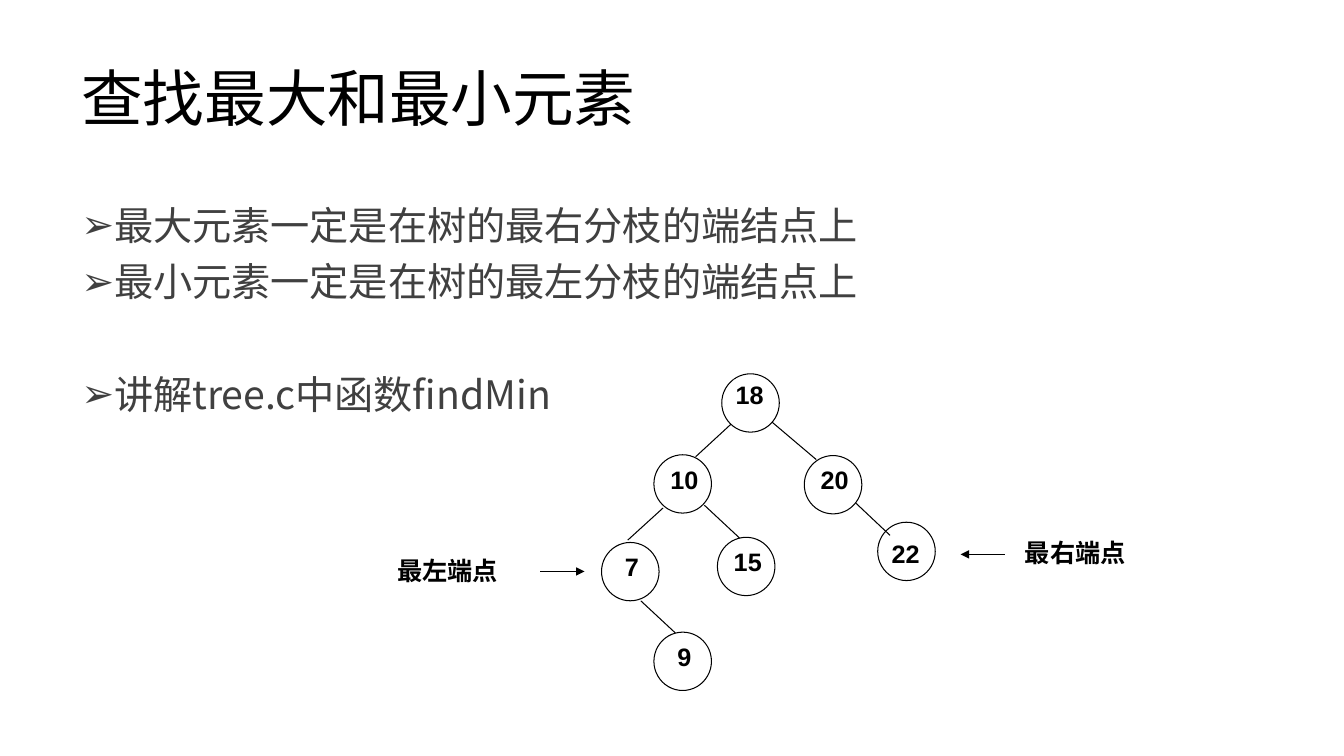
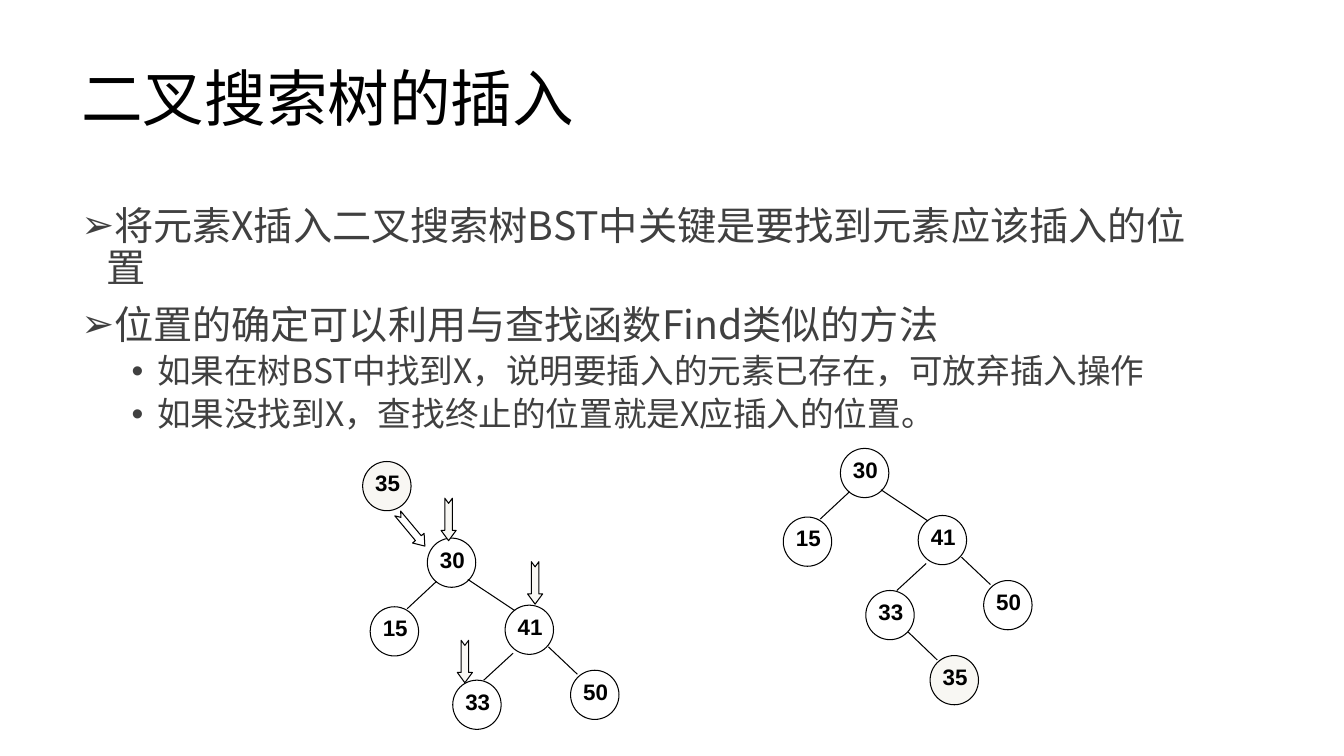
import pptx
import pptx.util
import pptx.dml.color
import pptx.enum.shapes
import pptx.enum.text
import pptx.oxml
import pptx.oxml.ns
import lxml.etree

Cm = pptx.util.Cm
Pt = pptx.util.Pt
Shape = pptx.enum.shapes.MSO_SHAPE
Anchor = pptx.enum.text.MSO_ANCHOR
Align = pptx.enum.text.PP_ALIGN

# Shared look
BLACK, GREY, WHITE, CREAM = "000000", "404040", "FFFFFF", "F8F7F3"
HAN_FONT = "Noto Sans CJK SC"
LINE_WIDTH = 0.75

# Sizes of tree nodes: circle, label, label offset, font size
LARGE = {"circle": (1.45, 1.47), "label": (0.81, 0.86), "offset": (0.36, 0.23), "size": 18}
SMALL = {"circle": (1.22, 1.24), "label": (0.66, 0.74), "offset": (0.3, 0.19), "size": 16}

# Search tree: value, left, top, label offset where it differs
SEARCH_NODES = [
    ("18", 18.19, 9.42, (0.3, 0.15)),
    ("10", 16.48, 11.46, None),
    ("15", 18.08, 13.54, None),
    ("20", 20.27, 11.48, None),
    ("7", 15.16, 13.67, None),
    ("22", 22.12, 13.16, (0.3, 0.41)),
    ("9", 16.48, 15.93, None),
]
SEARCH_EDGES = [
    (18.42, 10.69, 17.53, 11.51),
    (16.71, 12.8, 15.82, 13.61),
    (17.75, 12.73, 18.64, 13.56),
    (19.46, 10.64, 20.57, 11.58),
    (21.56, 12.67, 22.43, 13.49),
    (16.15, 15.14, 17.02, 15.95),
]

# Insertion tree, measured from its root
INSERT_NODES = [
    ("30", 0, 0),
    ("15", -1.44, 1.73),
    ("41", 1.96, 1.69),
    ("33", 0.64, 3.58),
    ("50", 3.61, 3.33),
]
INSERT_EDGES = [
    (1.02, 1.04, 2.21, 1.83),
    (2.16, 2.9, 1.42, 3.58),
    (3.05, 2.74, 3.78, 3.43),
    (0.23, 1.09, -0.51, 1.78),
]


def colour(value):
    return pptx.dml.color.RGBColor.from_string(value)


def add_span(para, text, size, font, ink, bold=False):
    span = para.add_run()
    span.text = text
    span.font.size = Pt(size)
    span.font.name = font
    span.font.bold = bold
    span.font.color.rgb = colour(ink)
    east = pptx.oxml.ns.qn("a:ea")
    span.font._element.find(pptx.oxml.ns.qn("a:latin")).addnext(
        lxml.etree.Element(east, typeface=HAN_FONT))


def add_text_box(page, left, top, width, height, anchor):
    box = page.shapes.add_textbox(Cm(left), Cm(top), Cm(width), Cm(height))
    box.text_frame.word_wrap = True
    box.text_frame.vertical_anchor = anchor
    return box.text_frame


def add_title(page, text):
    para = add_text_box(page, 1.8, 0.71, 29.21, 3.68, Anchor.MIDDLE).paragraphs[0]
    para.line_spacing = 0.9
    add_span(para, text, 44, "Arial", BLACK)


def set_bullet(para, sign, indent):
    props = para._p.get_or_add_pPr()
    props.set("marL", str(Cm(indent)))
    props.set("indent", str(-Cm(0.64)))
    lxml.etree.SubElement(props, pptx.oxml.ns.qn("a:buFont"), typeface="Arial")
    lxml.etree.SubElement(props, pptx.oxml.ns.qn("a:buChar"), char=sign)


def add_body(page, items):
    """Each item is text, level and space before."""
    frame = add_text_box(page, 1.8, 5.08, 29.21, 12.09, Anchor.TOP)
    for number, (text, level, space) in enumerate(items):
        para = frame.add_paragraph() if number else frame.paragraphs[0]
        para.level = level
        para.line_spacing = 0.9
        para.space_before = Pt(space)
        set_bullet(para, "•" if level else "➢", 1.91 if level else 0.64)
        add_span(para, text, 24 if level else 28, HAN_FONT, GREY)


def add_outline(page, kind, left, top, width, height, fill, line=True):
    shape = page.shapes.add_shape(kind, Cm(left), Cm(top), Cm(width), Cm(height))
    shape.shadow.inherit = False
    shape.fill.solid()
    shape.fill.fore_color.rgb = colour(fill)
    if line:
        shape.line.color.rgb = colour(BLACK)
        shape.line.width = Pt(LINE_WIDTH)
    else:
        shape.line.fill.background()
    return shape


def add_label(page, place, text, size, font, fill, align, anchor):
    box = add_outline(page, Shape.RECTANGLE, *place, fill, line=False)
    frame = box.text_frame
    frame.margin_left = frame.margin_right = frame.margin_top = frame.margin_bottom = 0
    frame.vertical_anchor = anchor
    frame.word_wrap = True
    frame.paragraphs[0].alignment = align
    add_span(frame.paragraphs[0], text, size, font, BLACK, bold=True)


def add_node(page, value, left, top, style, fill=WHITE, offset=None):
    right, down = offset or style["offset"]
    add_outline(page, Shape.OVAL, left, top, *style["circle"], fill)
    add_label(page, (left + right, top + down, *style["label"]), value,
              style["size"], "Arial", fill, Align.CENTER, Anchor.TOP)


def add_line(page, left, top, right, bottom, arrow=False):
    line = page.shapes.add_connector(pptx.enum.shapes.MSO_CONNECTOR.STRAIGHT,
                                     Cm(left), Cm(top), Cm(right), Cm(bottom))
    line.line.color.rgb = colour(BLACK)
    line.line.width = Pt(LINE_WIDTH)
    if arrow:
        lxml.etree.SubElement(line.line._get_or_add_ln(),
                              pptx.oxml.ns.qn("a:tailEnd"), type="triangle")
    lxml.etree.SubElement(line._element.spPr, pptx.oxml.ns.qn("a:effectLst"))


def add_pointer(page, text, label_at, arrow):
    add_label(page, (*label_at, 3.63, 1.68), text, 18, "Calibri", WHITE,
              Align.LEFT, Anchor.MIDDLE)
    add_line(page, *arrow, arrow=True)


def add_block_arrow(page, left, top, turn, fill):
    arrow = add_outline(page, Shape.NOTCHED_RIGHT_ARROW, left, top, 1.07, 0.38, fill)
    arrow.adjustments[0] = 0.5
    arrow.adjustments[1] = 0.68
    arrow.rotation = turn


def add_insert_tree(page, left, top):
    for value, across, down in INSERT_NODES:
        add_node(page, value, left + across, top + down, SMALL)
    for x1, y1, x2, y2 in INSERT_EDGES:
        add_line(page, left + x1, top + y1, left + x2, top + y2)


def build_search_page(page):
    add_title(page, "查找最大和最小元素")
    add_body(page, [
        ("最大元素一定是在树的最右分枝的端结点上", 0, 10),
        ("最小元素一定是在树的最左分枝的端结点上", 0, 10),
        ("讲解tree.c中函数findMin", 0, 50),
    ])
    for value, left, top, offset in SEARCH_NODES:
        add_node(page, value, left, top, LARGE, offset=offset)
    for edge in SEARCH_EDGES:
        add_line(page, *edge)
    add_pointer(page, "最左端点", (10.01, 13.54), (13.61, 14.4, 14.73, 14.4))
    add_pointer(page, "最右端点", (25.83, 13.08), (25.32, 13.97, 24.21, 13.97))


def build_insert_page(page):
    add_title(page, "二叉搜索树的插入")
    add_body(page, [
        ("将元素X插入二叉搜索树BST中关键是要找到元素应该插入的位置", 0, 10),
        ("位置的确定可以利用与查找函数Find类似的方法", 0, 10),
        ("如果在树BST中找到X，说明要插入的元素已存在，可放弃插入操作", 1, 5),
        ("如果没找到X，查找终止的位置就是X应插入的位置。", 1, 5),
    ])
    # Tree after the insertion
    add_insert_tree(page, 21.18, 11.3)
    add_node(page, "35", 23.44, 16.52, SMALL, CREAM)
    add_line(page, 22.88, 15.92, 23.62, 16.63)
    # Tree before it, with the search steps
    add_insert_tree(page, 10.77, 13.56)
    add_node(page, "35", 9.14, 11.63, SMALL, CREAM)
    add_block_arrow(page, 9.83, 13.16, 50.2, WHITE)
    for left, top in [(10.77, 12.9), (12.95, 14.5), (11.18, 16.48)]:
        add_block_arrow(page, left, top, 90, CREAM)


def main():
    deck = pptx.Presentation()
    deck.slide_width, deck.slide_height = Cm(33.87), Cm(19.05)
    for build in (build_search_page, build_insert_page):
        build(deck.slides.add_slide(deck.slide_layouts[6]))
    deck.save("out.pptx")


main()
